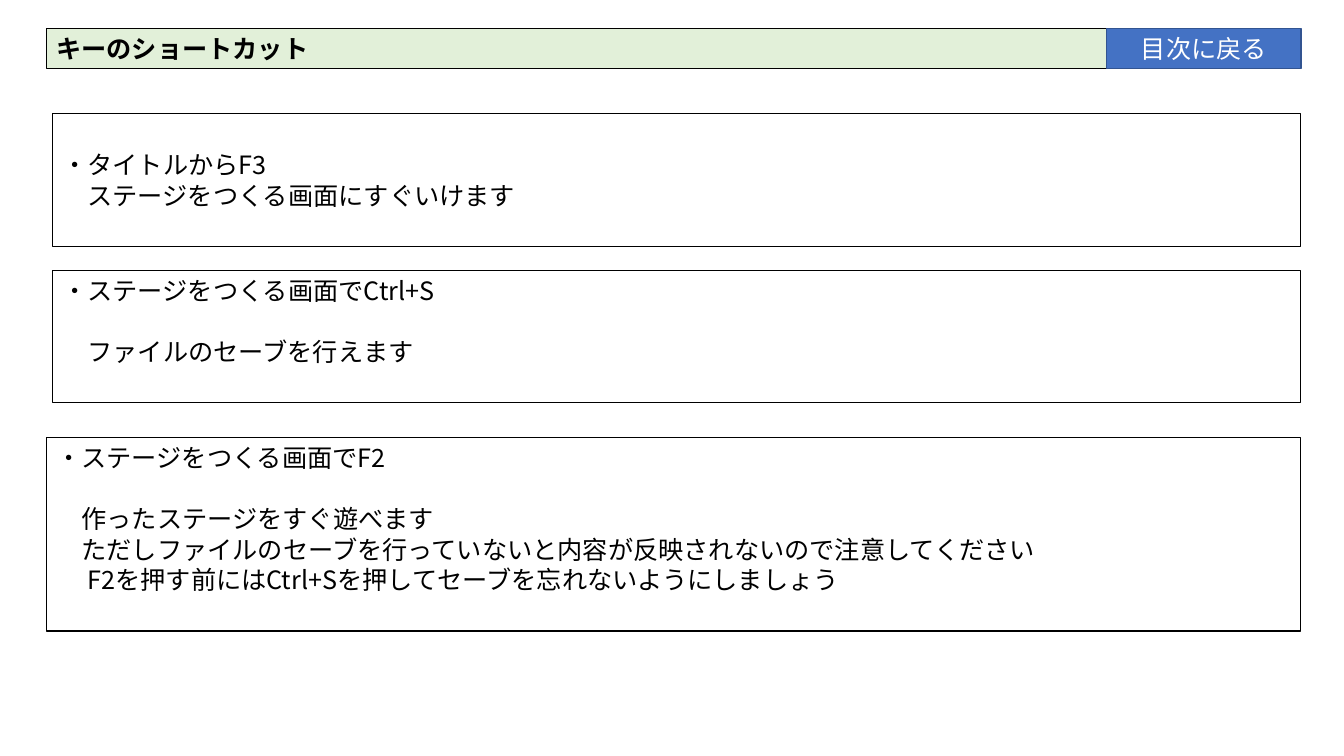
"""Builds the keyboard shortcut slide."""
import pptx
import pptx.dml.color
import pptx.enum.shapes
import pptx.enum.text
import pptx.oxml
import pptx.oxml.ns
import pptx.util

SHAPES = pptx.enum.shapes.MSO_SHAPE
ALIGN = pptx.enum.text.PP_ALIGN
ANCHOR = pptx.enum.text.MSO_ANCHOR
RIGHT_EDGE = 96.8
OUTER_LEFT, INNER_LEFT = 3.45, 3.9
HEADER_TOP, HEADER_HEIGHT = 3.73, 5.33
BUTTON_LEFT = 82.35


class ShortcutSlide:
    """Holds the slide and its style; positions are percentages of the slide."""

    colors = {"text": "000000", "border": "000000", "header": "E2F0D9",
              "button": "4472C4", "button_border": "325491", "button_text": "FFFFFF"}
    font_name = "Noto Sans CJK JP"
    font_size = pptx.util.Pt(18)
    line_height = pptx.util.Pt(21.7)
    inset = pptx.util.Inches(0.05)
    text_indent = pptx.util.Inches(0.25)
    latin_indent = pptx.util.Inches(0.31)

    def __init__(self, presentation):
        """Adds a blank slide."""
        self.width = presentation.slide_width
        self.height = presentation.slide_height
        self.slide = presentation.slides.add_slide(presentation.slide_layouts[6])

    def color(self, name):
        """Returns a named colour."""
        return pptx.dml.color.RGBColor.from_string(self.colors[name])

    def box(self, left, top, height, fill=None, border="border", weight=0.75,
            kind=SHAPES.RECTANGLE):
        """Adds a box that reaches to the right edge of the content."""
        shape = self.slide.shapes.add_shape(
            kind, int(self.width * left / 100), int(self.height * top / 100),
            int(self.width * (RIGHT_EDGE - left) / 100), int(self.height * height / 100))
        shape.shadow.inherit = False
        if fill:
            shape.fill.solid()
            shape.fill.fore_color.rgb = self.color(fill)
        else:
            shape.fill.background()
        shape.line.color.rgb = self.color(border)
        shape.line.width = pptx.util.Pt(weight)
        frame = shape.text_frame
        frame.word_wrap = True
        frame.vertical_anchor = ANCHOR.TOP
        frame.margin_top = frame.margin_bottom = self.inset
        return shape

    def fill_text(self, shape, lines, color="text", bold=False, align=ALIGN.LEFT):
        """Sets one paragraph for each line."""
        shape.text_frame.text = "\n".join(lines)
        for paragraph in shape.text_frame.paragraphs:
            paragraph.alignment = align
            paragraph.line_spacing = self.line_height
            for run in paragraph.runs:
                run.font.name = self.font_name
                run.font.size = self.font_size
                run.font.bold = bold
                run.font.color.rgb = self.color(color)
                east_asian = pptx.oxml.parse_xml(
                    f'<a:ea {pptx.oxml.ns.nsdecls("a")} typeface="{self.font_name}"/>')
                run.font._element.find(pptx.oxml.ns.qn("a:latin")).addnext(east_asian)

    def header(self, title):
        """Adds the title bar."""
        shape = self.box(OUTER_LEFT, HEADER_TOP, HEADER_HEIGHT, "header")
        self.fill_text(shape, [title], bold=True)

    def button(self, label):
        """Adds the button at the end of the title bar."""
        shape = self.box(BUTTON_LEFT, HEADER_TOP, HEADER_HEIGHT, "button",
                         "button_border", 1, SHAPES.ACTION_BUTTON_CUSTOM)
        shape.text_frame.vertical_anchor = ANCHOR.MIDDLE
        self.fill_text(shape, [label], "button_text", align=ALIGN.CENTER)

    def shortcut(self, left, top, height, keys, details, lowered=False):
        """Adds a shortcut with indented details; a gap goes above or below the keys."""
        shape = self.box(left, top, height)
        self.fill_text(shape, [keys, *details])
        paragraphs = shape.text_frame.paragraphs
        for paragraph in paragraphs[1:]:
            starts_latin = paragraph.text[0].isascii()
            indent = self.latin_indent if starts_latin else self.text_indent
            paragraph._p.get_or_add_pPr().set("marL", str(int(indent)))
        if lowered:
            shape.text_frame.margin_top = self.inset + self.line_height
        else:
            paragraphs[1].space_before = self.line_height


def main():
    """Builds and saves the presentation."""
    presentation = pptx.Presentation()
    presentation.slide_width = pptx.util.Inches(13.33)
    presentation.slide_height = pptx.util.Inches(7.5)
    page = ShortcutSlide(presentation)
    page.header("キーのショートカット")
    page.button("目次に戻る")
    page.shortcut(INNER_LEFT, 15.07, 17.5, "・タイトルからF3",
                  ["ステージをつくる画面にすぐいけます"], lowered=True)
    page.shortcut(INNER_LEFT, 35.73, 17.5, "・ステージをつくる画面でCtrl+S",
                  ["ファイルのセーブを行えます"])
    page.shortcut(OUTER_LEFT, 57.87, 25.6, "・ステージをつくる画面でF2", [
        "作ったステージをすぐ遊べます",
        "ただしファイルのセーブを行っていないと内容が反映されないので注意してください",
        "F2を押す前にはCtrl+Sを押してセーブを忘れないようにしましょう"])
    presentation.save("out.pptx")


if __name__ == "__main__":
    main()
